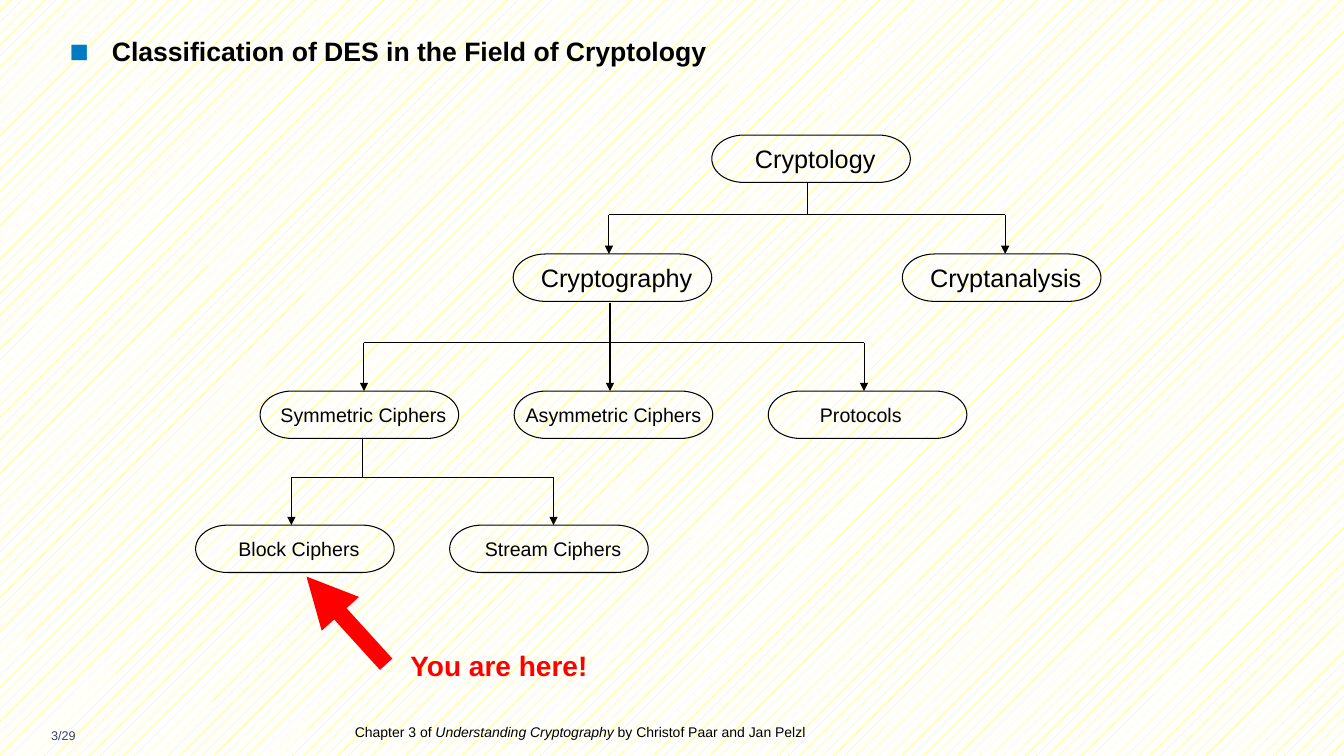
from lxml.etree import SubElement
from pptx import Presentation
from pptx.dml.color import RGBColor
from pptx.enum.dml import MSO_PATTERN
from pptx.enum.shapes import MSO_CONNECTOR, MSO_SHAPE
from pptx.enum.text import PP_ALIGN
from pptx.oxml.ns import qn
from pptx.util import Inches, Pt

FONT = "Arial"
BLACK, RED, BLUE = "000000", "FF0000", "007AC2"
NODE_W, NODE_H = 1.97, 0.47
LABEL_W = 1.89


def rgb(value):
    return RGBColor.from_string(value)


def add_text(slide, box, runs, size, color=BLACK, align=PP_ALIGN.LEFT, bold=False, wrap=True):
    frame = slide.shapes.add_textbox(*map(Inches, box)).text_frame
    frame.margin_left = frame.margin_right = frame.margin_top = frame.margin_bottom = 0
    frame.word_wrap = wrap
    paragraph = frame.paragraphs[0]
    paragraph.alignment = align
    font = paragraph.font
    font.name, font.size, font.bold = FONT, Pt(size), bold
    font.color.rgb = rgb(color)
    for words, italic in runs:
        run = paragraph.add_run()
        run.text = words
        if italic:
            run.font.italic = True
    return paragraph


def add_line(slide, start, end, color=BLACK, width=0.75, arrow=False):
    line = slide.shapes.add_connector(MSO_CONNECTOR.STRAIGHT, *map(Inches, (*start, *end)))
    line.line.color.rgb = rgb(color)
    line.line.width = Pt(width)
    if arrow:
        SubElement(line.line._get_or_add_ln(), qn("a:tailEnd"), type="triangle")
    SubElement(line._element.spPr, qn("a:effectLst"))


def add_node(slide, left, top, label, size, label_shift=0.08):
    outline = slide.shapes.add_shape(
        MSO_SHAPE.FLOWCHART_TERMINATOR, *map(Inches, (left, top, NODE_W, NODE_H)))
    outline.shadow.inherit = False
    outline.fill.background()
    outline.line.color.rgb = rgb(BLACK)
    outline.line.width = Pt(0.75)
    label_h = size / 60
    label_box = (left + label_shift, top + (NODE_H - label_h) / 2, LABEL_W, label_h)
    add_text(slide, label_box, [(label, False)], size, align=PP_ALIGN.CENTER)


def add_branch(slide, trunk_x, trunk_top, bus_y, child_xs, child_top):
    add_line(slide, (trunk_x, trunk_top), (trunk_x, bus_y))
    add_line(slide, (child_xs[0], bus_y), (child_xs[-1], bus_y))
    for x in child_xs:
        add_line(slide, (x, bus_y), (x, child_top), arrow=True)


def add_title(slide, box):
    title = add_text(slide, box, [("Classification of DES in the Field of Cryptology", False)],
                     19, bold=True)
    title.space_before = Pt(2)
    props = title._p.get_or_add_pPr()
    props.set("marL", str(Inches(0.42)))
    props.set("indent", str(Inches(-0.42)))
    bullet_color = props.makeelement(qn("a:buClr"))
    SubElement(bullet_color, qn("a:srgbClr"), val=BLUE)
    bullet_parts = [
        bullet_color,
        props.makeelement(qn("a:buSzPct"), val="120000"),
        props.makeelement(qn("a:buFont"), typeface=FONT),
        props.makeelement(qn("a:buChar"), char="■"),
    ]
    for part in bullet_parts:
        props.find(qn("a:defRPr")).addprevious(part)


def add_tree(slide, left, top):
    field_top, cipher_top, kind_top = top + 1.18, top + 2.54, top + 3.87
    add_node(slide, left + 5.12, top, "Cryptology", 18)
    for x, label in ((3.15, "Cryptography"), (7.01, "Cryptanalysis")):
        add_node(slide, left + x, field_top, label, 18)
    ciphers = (("Symmetric Ciphers", 0.08), ("Asymmetric Ciphers", 0.04), ("Protocols ", 0))
    for column, (label, shift) in enumerate(ciphers):
        add_node(slide, left + 0.64 + 2.52 * column, cipher_top, label, 14, shift)
    for column, label in enumerate(("Block Ciphers", "Stream Ciphers")):
        add_node(slide, left + 2.52 * column, kind_top, label, 14)

    branches = (
        (6.07, 0.48, 0.79, (4.10, 8.03), field_top),
        (4.11, 1.67, 2.06, (1.67, 4.11, 6.63), cipher_top),
        (1.66, 3.01, 3.40, (0.95, 3.55), kind_top),
    )
    for trunk_x, trunk_top, bus_y, child_xs, child_top in branches:
        add_branch(slide, left + trunk_x, top + trunk_top, top + bus_y,
                   [left + x for x in child_xs], child_top)


def add_marker(slide, left, top):
    add_line(slide, (left + 0.79, top + 0.87), (left, top), RED, 12, arrow=True)
    add_text(slide, (left + 1.03, top + 0.71, 1.77, 0.33), [("You are here!", False)],
             20, RED, bold=True, wrap=False)


def add_footer(slide, left, top):
    add_text(slide, (left, top + 0.08, 0.74, 0.24), [("3/29", False)], 9, "394073",
             PP_ALIGN.CENTER)
    source = [("Chapter 3 of ", False), ("Understanding Cryptography", True),
              (" by Christof Paar and Jan Pelzl", False)]
    add_text(slide, (left + 3.26, top, 6.3, 0.28), source, 10).line_spacing = 1.2


def main():
    deck = Presentation()
    deck.slide_width, deck.slide_height = Inches(13.33), Inches(7.5)
    slide = deck.slides.add_slide(deck.slide_layouts[6])
    backdrop = slide.background.fill
    backdrop.patterned()
    backdrop.pattern = MSO_PATTERN.PERCENT_10
    backdrop.fore_color.rgb = rgb("FFFF00")
    backdrop.back_color.rgb = rgb("FFFFFF")

    add_footer(slide, 0.26, 7.14)
    add_title(slide, (0.69, 0.35, 9.42, 0.56))
    add_tree(slide, 1.94, 1.34)
    add_marker(slide, 3.04, 5.72)
    deck.save("out.pptx")


if __name__ == "__main__":
    main()
